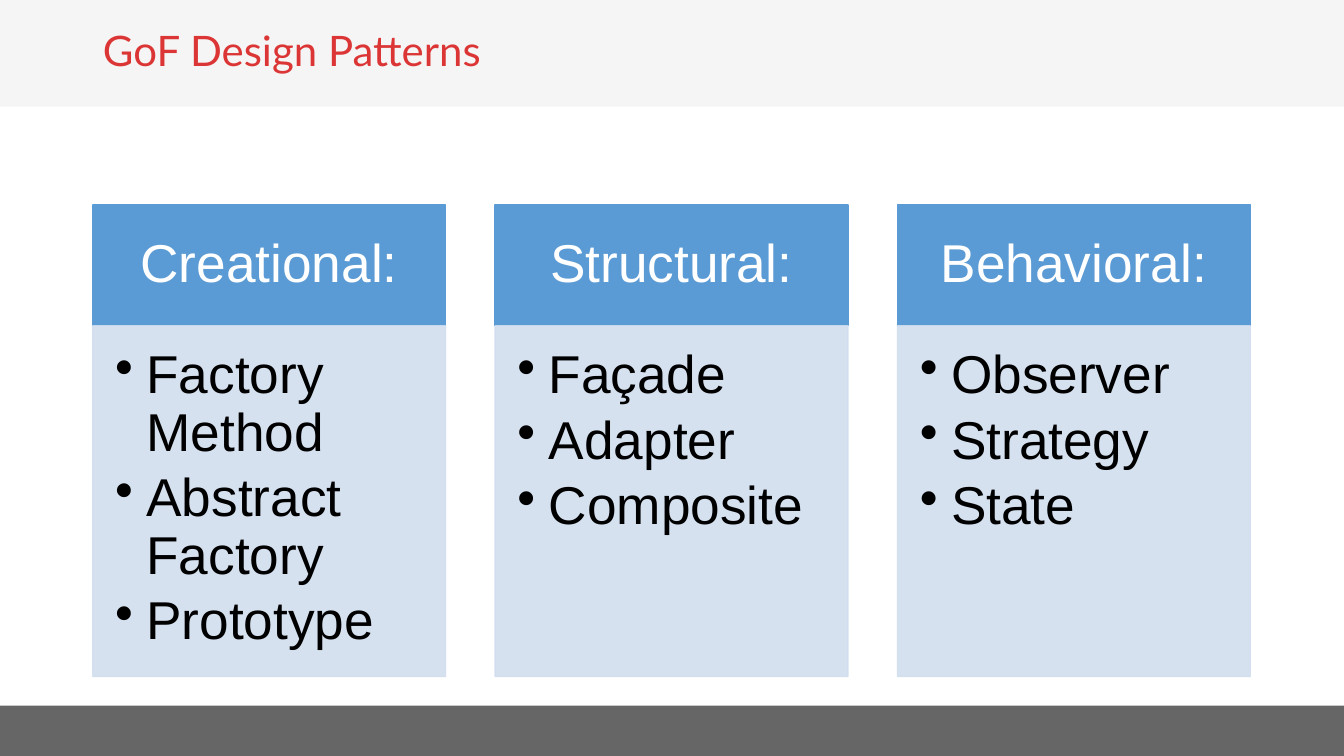
from dataclasses import dataclass

from lxml import etree
from pptx import Presentation
from pptx.dml.color import RGBColor
from pptx.enum.shapes import MSO_SHAPE
from pptx.enum.text import MSO_ANCHOR, PP_ALIGN
from pptx.oxml.ns import qn
from pptx.shapes.autoshape import Shape
from pptx.slide import Slide
from pptx.util import Cm, Pt

RECT = MSO_SHAPE.RECTANGLE
TOP, MIDDLE = MSO_ANCHOR.TOP, MSO_ANCHOR.MIDDLE
LEFT, CENTER = PP_ALIGN.LEFT, PP_ALIGN.CENTER

WHITE = RGBColor(0xFF, 0xFF, 0xFF)
BLACK = RGBColor(0x00, 0x00, 0x00)
RED = RGBColor(0xDB, 0x36, 0x35)
BLUE = RGBColor(0x5B, 0x9B, 0xD5)
PALE_BLUE = RGBColor(0xD2, 0xDE, 0xEF)
LIGHT_GRAY = RGBColor(0xF5, 0xF5, 0xF5)
DARK_GRAY = RGBColor(0x66, 0x66, 0x66)

# Measures in centimetres
SLIDE_W, SLIDE_H = 33.87, 19.05
TOP_BAND_H, FOOTER_H = 2.69, 1.27
COLUMN_LEFT, COLUMN_W, COLUMN_PITCH = 2.34, 8.89, 10.14
HEADER_TOP, HEADER_H, BODY_H = 5.17, 3.04, 8.84
BULLET_INDENT = 0.79


@dataclass(frozen=True)
class PatternGroup:
    heading: str
    patterns: tuple[str, ...]


GROUPS = (
    PatternGroup("Creational:", ("Factory Method", "Abstract Factory", "Prototype")),
    PatternGroup("Structural:", ("Façade", "Adapter", "Composite")),
    PatternGroup("Behavioral:", ("Observer", "Strategy", "State")),
)


def add_rect(slide: Slide, left: float, top: float, width: float, height: float,
             color: RGBColor) -> Shape:
    sp = slide.shapes.add_shape(RECT, Cm(left), Cm(top), Cm(width), Cm(height))
    sp.shadow.inherit = False
    sp.fill.solid()
    sp.fill.fore_color.rgb = color
    sp.line.fill.background()
    return sp


def add_outline(sp: Shape, color: RGBColor) -> None:
    sp.line.color.rgb = color
    sp.line.width = Pt(1)


def set_opacity(sp: Shape, percent: int) -> None:
    """Apply one opacity to the fill and the outline."""
    for color in sp.element.spPr.iter(qn("a:srgbClr")):
        etree.SubElement(color, qn("a:alpha"), val=str(percent * 1000))


def add_bullet(p) -> None:
    indent = Cm(BULLET_INDENT)
    pPr = p._p.get_or_add_pPr()
    pPr.set("marL", str(indent))
    pPr.set("indent", str(-indent))
    etree.SubElement(pPr, qn("a:buChar"), char="•")


def write_text(sp: Shape, lines: tuple[str, ...], color: RGBColor,
               insets: tuple[float, float, float, float], anchor: MSO_ANCHOR,
               align: PP_ALIGN, bulleted: bool = False) -> None:
    tf = sp.text_frame
    tf.word_wrap = True
    tf.vertical_anchor = anchor
    tf.margin_left, tf.margin_top, tf.margin_right, tf.margin_bottom = map(Cm, insets)
    tf.text = "\n".join(lines)
    for p in tf.paragraphs:
        if bulleted:
            add_bullet(p)
            p.space_after = Pt(5.7)
        p.alignment = align
        p.line_spacing = 0.9
        font = p.runs[0].font
        font.name, font.size, font.color.rgb = "Arial", Pt(38), color


def add_group(slide: Slide, group: PatternGroup, left: float) -> None:
    header = add_rect(slide, left, HEADER_TOP, COLUMN_W, HEADER_H, BLUE)
    add_outline(header, BLUE)
    write_text(header, (group.heading,), WHITE, (0.76, 0.43, 0.76, 0.43), MIDDLE, CENTER)

    body = add_rect(slide, left, HEADER_TOP + HEADER_H, COLUMN_W, BODY_H, PALE_BLUE)
    add_outline(body, PALE_BLUE)
    set_opacity(body, 90)
    write_text(body, group.patterns, BLACK, (0.56, 0.56, 0.76, 0.84), TOP, LEFT, True)


def add_title(slide: Slide, text: str) -> None:
    title = slide.shapes.title
    title.left, title.top, title.width, title.height = map(Cm, (2.34, 0.1, 26.87, 2.46))
    tf = title.text_frame
    tf.text = text
    tf.word_wrap = True
    tf.vertical_anchor = MIDDLE
    p = tf.paragraphs[0]
    p.alignment = LEFT
    p.line_spacing = 0.9
    font = p.runs[0].font
    font.name, font.size, font.color.rgb = "Lato", Pt(30), RED


def main() -> None:
    prs = Presentation()
    prs.slide_width, prs.slide_height = Cm(SLIDE_W), Cm(SLIDE_H)
    slide = prs.slides.add_slide(prs.slide_layouts[5])

    # Title over the background bands
    add_title(slide, "GoF Design Patterns")
    for top, height, color in ((SLIDE_H - FOOTER_H, FOOTER_H, DARK_GRAY),
                               (0, TOP_BAND_H, LIGHT_GRAY)):
        band = add_rect(slide, 0, top, SLIDE_W, height, color)
        slide.shapes.title.element.addprevious(band.element)

    # Pattern columns
    for i, group in enumerate(GROUPS):
        add_group(slide, group, COLUMN_LEFT + i * COLUMN_PITCH)

    prs.save("out.pptx")


if __name__ == "__main__":
    main()
